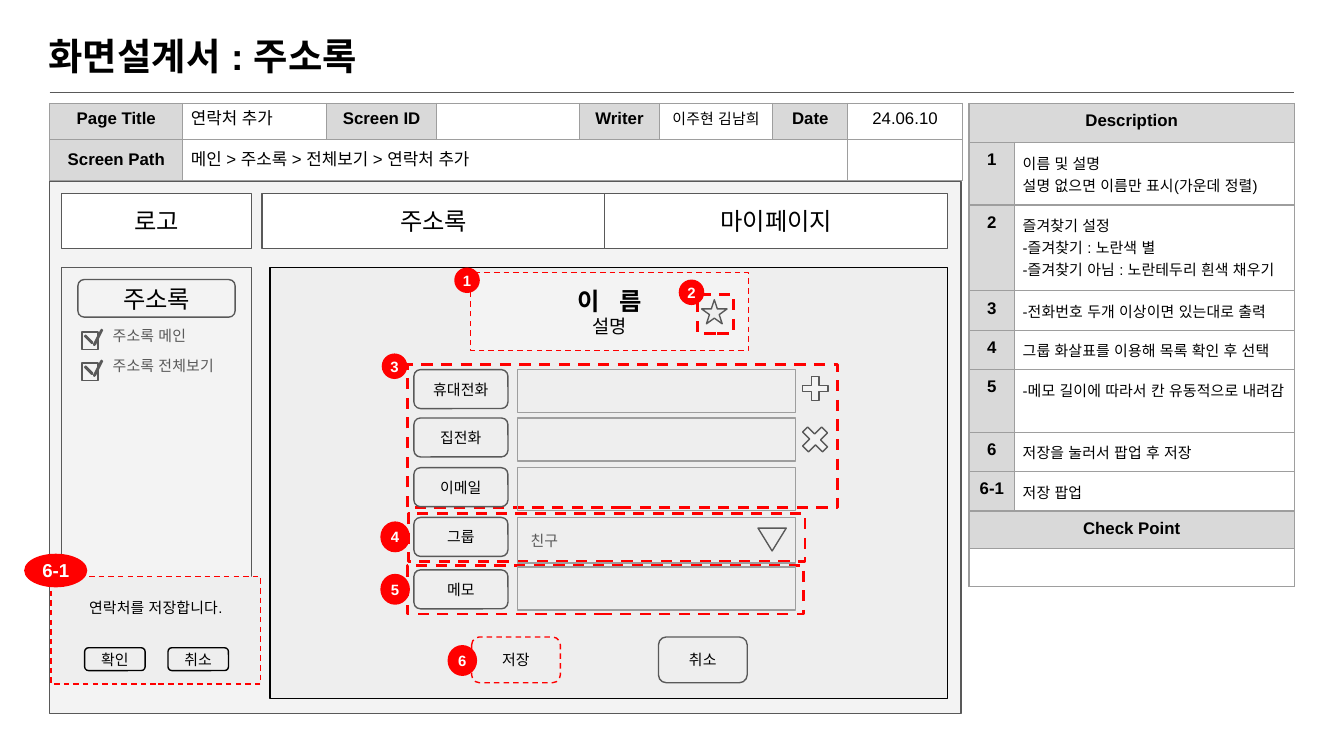
from dataclasses import dataclass
from typing import Optional

from lxml.etree import SubElement
from pptx import Presentation
from pptx.dml.color import RGBColor
from pptx.enum.dml import MSO_LINE
from pptx.enum.shapes import MSO_CONNECTOR, MSO_SHAPE
from pptx.enum.text import MSO_ANCHOR, PP_ALIGN
from pptx.oxml.ns import qn
from pptx.util import Emu, Pt

PX = 9144  # 100 px to the inch
FONT = "Arial"
BLACK = RGBColor(0x00, 0x00, 0x00)
WHITE = RGBColor(0xFF, 0xFF, 0xFF)
RED = RGBColor(0xFF, 0x00, 0x00)
DARK = RGBColor(0x59, 0x59, 0x59)
BORDER = RGBColor(0x9E, 0x9E, 0x9E)
HEADER = RGBColor(0xD9, 0xD9, 0xD9)
PANEL = RGBColor(0xF3, 0xF3, 0xF3)
FIELD = RGBColor(0xEE, 0xEE, 0xEE)
CENTER, LEFT = PP_ALIGN.CENTER, PP_ALIGN.LEFT
RECT, ROUND = MSO_SHAPE.RECTANGLE, MSO_SHAPE.ROUNDED_RECTANGLE


@dataclass
class Box:
    x: int
    y: int
    width: int
    height: int
    text: str = ""
    kind: MSO_SHAPE = RECT
    fill: Optional[RGBColor] = None
    line: Optional[RGBColor] = DARK
    weight: float = 0.75
    dashed: bool = False
    size: int = 8
    bold: bool = False
    color: RGBColor = BLACK
    align: PP_ALIGN = CENTER
    spacing: int = 0
    caption: str = ""
    margin: int = 10
    bottom: int = 10
    rotation: float = 0
    adjust: Optional[float] = None


@dataclass
class Cell:
    row: int
    column: int
    text: str = ""
    header: bool = False
    size: int = 9
    align: PP_ALIGN = CENTER
    span: int = 1
    leading: Optional[float] = None
    fill: Optional[RGBColor] = None


def px(value: int) -> Emu:
    return Emu(value * PX)


def write(frame, text: str, *, size: int, bold: bool = False, color: RGBColor = BLACK,
          align: PP_ALIGN = LEFT, leading: Optional[float] = None, spacing: int = 0) -> None:
    """Add one paragraph per line of text; spacing is in hundredths of a point."""
    for line in text.split("\n"):
        para = frame.paragraphs[0] if not frame.text else frame.add_paragraph()
        para.alignment, para.line_spacing = align, leading
        span = para.add_run()
        span.text = line
        font = span.font
        font.size, font.bold, font.name = Pt(size), bold, FONT
        font.color.rgb = color
        properties = span._r.get_or_add_rPr()
        SubElement(properties, qn("a:ea"), typeface=FONT)
        if spacing:
            properties.set("spc", str(spacing))


def draw_box(page, box: Box) -> None:
    shape = page.shapes.add_shape(box.kind, px(box.x), px(box.y), px(box.width), px(box.height))
    shape.shadow.inherit = False
    shape.rotation = box.rotation
    if box.adjust is not None:
        shape.adjustments[0] = box.adjust
    if box.fill is None:
        shape.fill.background()
    else:
        shape.fill.solid()
        shape.fill.fore_color.rgb = box.fill
    if box.line is None:
        shape.line.fill.background()
    else:
        shape.line.color.rgb = box.line
        shape.line.width = Pt(box.weight)
        if box.dashed:
            shape.line.dash_style = MSO_LINE.DASH
    if not box.text:
        return
    frame = shape.text_frame
    frame.word_wrap, frame.vertical_anchor = True, MSO_ANCHOR.MIDDLE
    frame.margin_left = frame.margin_right = frame.margin_top = px(box.margin)
    frame.margin_bottom = px(box.bottom if box.margin else 0)
    write(frame, box.text, size=box.size, bold=box.bold, color=box.color,
          align=box.align, spacing=box.spacing)
    if box.caption:
        write(frame, box.caption, size=10, align=box.align)


def draw_label(page, x: int, y: int, width: int, height: int, text: str, **style) -> None:
    frame = page.shapes.add_textbox(px(x), px(y), px(width), px(height)).text_frame
    frame.word_wrap = True
    frame.margin_left = frame.margin_right = frame.margin_top = frame.margin_bottom = px(10)
    write(frame, text, **style)


def draw_border(cell) -> None:
    properties = cell._tc.get_or_add_tcPr()
    for side in ("lnL", "lnR", "lnT", "lnB"):
        line = SubElement(properties, qn(f"a:{side}"), w=str(Pt(0.75)))
        SubElement(SubElement(line, qn("a:solidFill")), qn("a:srgbClr"), val=str(BORDER))


def draw_table(page, x: int, y: int, columns: list[int], rows: list[int],
               cells: list[Cell], anchor: MSO_ANCHOR) -> None:
    table = page.shapes.add_table(len(rows), len(columns), px(x), px(y),
                                  px(sum(columns)), px(sum(rows))).table
    table.first_row = table.horz_banding = False
    for column, width in zip(table.columns, columns):
        column.width = px(width)
    for row, height in zip(table.rows, rows):
        row.height = px(height)
    for cell in table.iter_cells():
        draw_border(cell)
        cell.fill.background()
        cell.vertical_anchor = anchor
        cell.margin_left = cell.margin_right = cell.margin_top = cell.margin_bottom = px(6)
    for item in cells:
        cell = table.cell(item.row, item.column)
        if item.span > 1:
            cell.merge(table.cell(item.row, item.column + item.span - 1))
        fill = HEADER if item.header else item.fill
        if fill is not None:
            cell.fill.solid()
            cell.fill.fore_color.rgb = fill
        if item.text:
            write(cell.text_frame, item.text, size=item.size, bold=item.header,
                  align=item.align, leading=item.leading)
    for cell in table.iter_cells():
        if not cell.text_frame.text:
            SubElement(cell.text_frame.paragraphs[0]._p, qn("a:endParaRPr"), sz="900")


def button(x: int, y: int, width: int, height: int, text: str, **style) -> Box:
    return Box(x, y, width, height, text, ROUND, **{"fill": FIELD, "adjust": 0.17, **style})


def outline(x: int, y: int, width: int, height: int) -> Box:
    return Box(x, y, width, height, line=RED, weight=1.5, dashed=True)


def badge(x: int, y: int, width: int, height: int, text: str, size: int = 8) -> Box:
    return Box(x, y, width, height, text, MSO_SHAPE.OVAL, fill=RED, line=None,
               size=size, bold=True, color=WHITE, margin=0)


def check_box(y: int) -> list[Box]:
    return [Box(61, y, 12, 13, fill=PANEL),
            Box(73, y - 2, 0, 12, kind=ROUND, fill=FIELD, weight=1.5, rotation=26.6),
            Box(66, y + 2, 0, 7, kind=ROUND, fill=FIELD, weight=1.5, rotation=315)]


INFO = [
    Cell(0, 0, "Page Title", True, leading=0.5), Cell(0, 1, "연락처 추가", align=LEFT, leading=0.5),
    Cell(0, 2, "Screen ID", True, leading=0.5), Cell(0, 4, "Writer", True, leading=0.5),
    Cell(0, 5, "이주현 김남희", size=8, leading=0.5), Cell(0, 6, "Date", True, leading=0.5),
    Cell(0, 7, "24.06.10", leading=0.5), Cell(1, 0, "Screen Path", True),
    Cell(1, 1, "메인 > 주소록 > 전체보기 > 연락처 추가", align=LEFT, span=6),
]
NOTES = [
    ("1", "이름 및 설명\n설명 없으면 이름만 표시(가운데 정렬)"),
    ("2", "즐겨찾기 설정\n-즐겨찾기 : 노란색 별\n-즐겨찾기 아님 : 노란테두리 흰색 채우기"),
    ("3", "-전화번호 두개 이상이면 있는대로 출력"), ("4", "그룹 화살표를 이용해 목록 확인 후 선택"),
    ("5", "-메모 길이에 따라서 칸 유동적으로 내려감"), ("6", "저장을 눌러서 팝업 후 저장"),
    ("6-1", "저장 팝업"),
]
FRAME = [Box(37, 135, 678, 396, fill=PANEL), Box(201, 199, 504, 321, fill=FIELD, line=BLACK),
         outline(304, 382, 295, 36), outline(303, 271, 320, 107)]
MENU = [Box(x, 144, width, 41, text, fill=WHITE, size=13)
        for x, width, text in ((46, 141, "로고"), (450, 255, "마이페이지"), (195, 255, "주소록"))]
SIDEBAR = [Box(46, 199, 141, 242, fill=PANEL),
           button(58, 208, 117, 28, "주소록", fill=PANEL, size=13), *check_box(247), *check_box(270)]
POPUP = [Box(38, 429, 156, 80, "연락처를 저장합니다.", fill=FIELD, line=RED, dashed=True, bottom=44),
         button(125, 482, 45, 17, "취소", line=BLACK), button(63, 482, 45, 17, "확인", line=BLACK),
         badge(18, 412, 47, 25, "6-1", 10)]
PROFILE = [outline(303, 421, 295, 36),
           Box(350, 203, 207, 58, "이 름", fill=PANEL, line=RED, dashed=True, size=13,
               bold=True, spacing=360, caption="설명"),
           outline(519, 219, 27, 29), Box(522, 223, 19, 18, kind=MSO_SHAPE.STAR_5_POINT, fill=FIELD)]
FORM = [button(308, y, 70, 29, text) for y, text in
        ((275, "휴대전화"), (311, "집전화"), (348, "이메일"), (385, "그룹"), (424, "메모"))]
FORM += [Box(385, y, 207, 32, line=BORDER) for y in (275, 311, 348, 422)]
FORM += [Box(385, 385, 207, 34, "친구", line=BORDER, color=DARK, align=PP_ALIGN.JUSTIFY),
         button(351, 474, 66, 34, "저장", line=RED, dashed=True), button(490, 474, 66, 34, "취소")]
BADGES = [badge(338, 199, 19, 19, "1"), badge(505, 208, 19, 19, "2"), badge(284, 263, 19, 19, "3"),
          badge(283, 388, 22, 23, "4"), badge(283, 427, 22, 23, "5"), badge(333, 480, 22, 23, "6")]
ICONS = [Box(597, 280, 19, 18, kind=MSO_SHAPE.CROSS, fill=PANEL, adjust=0.37),
         Box(596, 317, 21, 20, kind=MSO_SHAPE.CROSS, fill=PANEL, adjust=0.37, rotation=45),
         Box(564, 393, 21, 17, kind=MSO_SHAPE.FLOWCHART_MERGE, fill=FIELD)]


def main() -> None:
    deck = Presentation()
    deck.slide_width = px(1000)
    deck.slide_height = Emu(px(1000) * 9 // 16)
    page = deck.slides.add_slide(deck.slide_layouts[6])
    rule = page.shapes.add_connector(MSO_CONNECTOR.STRAIGHT, px(37), px(69), px(963), px(69))
    rule.line.color.rgb, rule.line.width = DARK, Pt(0.75)
    SubElement(rule._element.spPr, qn("a:effectLst"))
    draw_label(page, 26, 15, 932, 63, "화면설계서 : 주소록", size=20, bold=True)
    draw_table(page, 37, 77, [99, 107, 82, 106, 60, 84, 56, 85], [26, 30], INFO, MSO_ANCHOR.MIDDLE)
    description = [Cell(0, 0, "Description", True, span=2), Cell(8, 0, "Check Point", True, span=2),
                   Cell(9, 0, span=2, fill=WHITE)]
    for row, (number, note) in enumerate(NOTES, 1):
        description += [Cell(row, 0, number, True),
                        Cell(row, 1, note, size=8, align=LEFT, leading=1.3)]
    draw_table(page, 721, 77, [34, 208], [29, 44, 60, 29, 28, 45, 28, 29, 28, 28],
               description, MSO_ANCHOR.TOP)
    for box in FRAME + MENU + SIDEBAR + POPUP + PROFILE + FORM + BADGES + ICONS:
        draw_box(page, box)
    for y, text in ((236, "주소록 메인"), (259, "주소록 전체보기")):
        draw_label(page, 74, y, 112, 34, text, size=8, color=DARK)
    deck.save("out.pptx")


if __name__ == "__main__":
    main()
